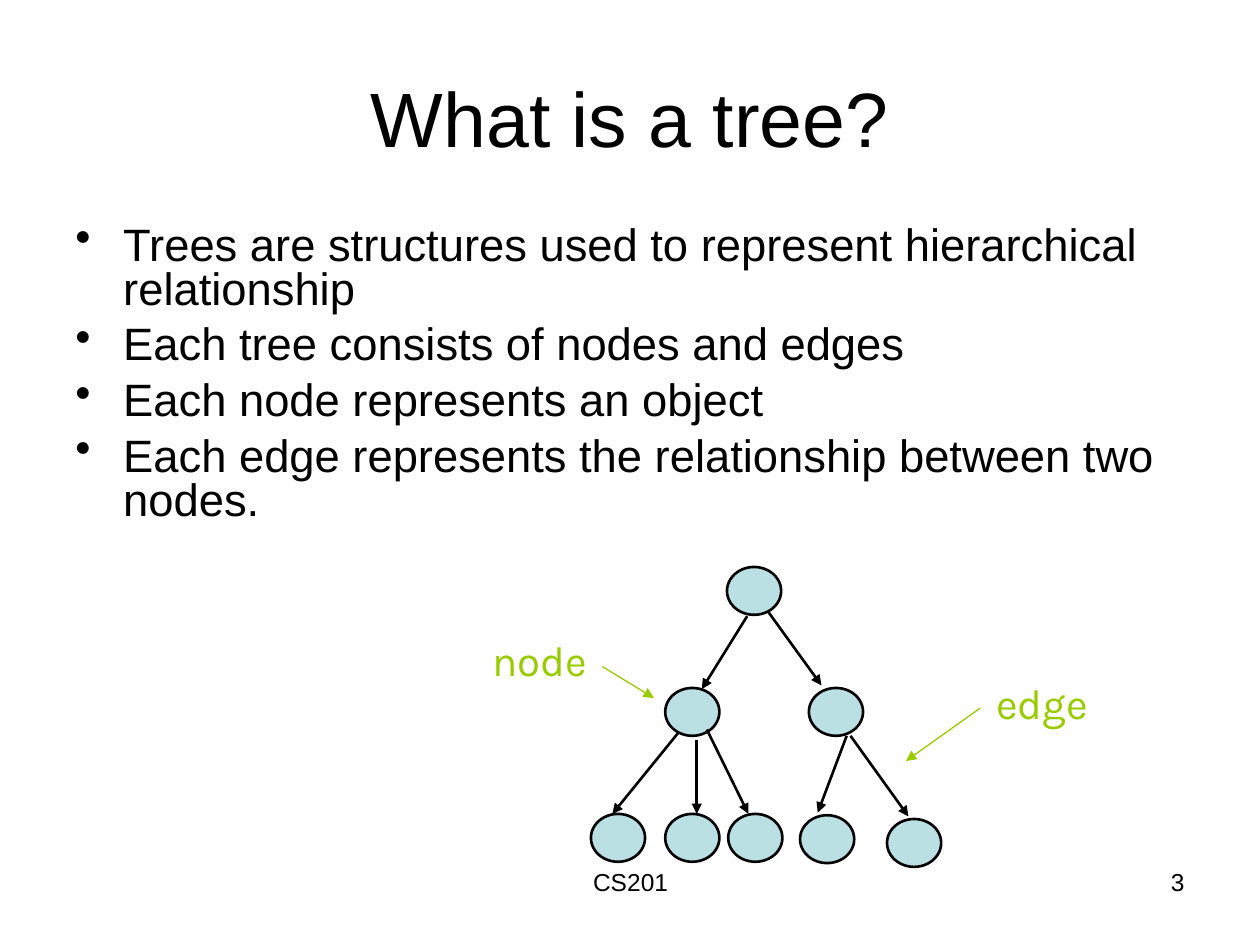
from dataclasses import dataclass

from lxml import etree
from pptx import Presentation
from pptx.dml.color import RGBColor
from pptx.enum.shapes import MSO_CONNECTOR, MSO_SHAPE
from pptx.enum.text import MSO_ANCHOR, PP_ALIGN
from pptx.oxml.ns import qn
from pptx.util import Inches, Pt

OVAL = MSO_SHAPE.OVAL
STRAIGHT = MSO_CONNECTOR.STRAIGHT
MIDDLE = MSO_ANCHOR.MIDDLE
LEFT, CENTER, RIGHT = PP_ALIGN.LEFT, PP_ALIGN.CENTER, PP_ALIGN.RIGHT


@dataclass(frozen=True)
class Theme:
    ink: RGBColor = RGBColor(0x00, 0x00, 0x00)
    fill: RGBColor = RGBColor(0xBB, 0xE0, 0xE3)
    note: RGBColor = RGBColor(0x99, 0xCC, 0x00)
    font: str = "Arial"
    hand: str = "Karla"
    title: float = 44
    body: float = 25.9
    label: float = 24
    foot: float = 14
    bold: float = 1.5
    thin: float = 0.75


THEME = Theme()
NODE_W, NODE_H = 0.43, 0.38

POINTS = [
    "Trees are structures used to represent hierarchical relationship",
    "Each tree consists of nodes and edges",
    "Each node represents an object",
    "Each edge represents the relationship between two nodes.",
]

# Top of each node row, with the left of each node
NODES = [
    (4.5, [5.77]),
    (5.46, [5.28, 6.42]),
    (6.46, [4.69, 5.28, 5.78]),
    (6.47, [6.35]),
    (6.5, [7.04]),
]

EDGES = [
    ((5.93, 4.89), (5.57, 5.47)),
    ((6.1, 4.86), (6.52, 5.44)),
    ((5.38, 5.82), (4.86, 6.46)),
    ((5.53, 5.87), (5.53, 6.46)),
    ((5.61, 5.79), (5.94, 6.46)),
    ((6.72, 5.84), (6.49, 6.45)),
    ((6.75, 5.84), (7.21, 6.48)),
]

HINTS = [
    ((7.78, 5.62), (7.19, 6.04)),
    ((4.78, 5.29), (5.19, 5.54)),
]


def add_run(para, text, size, color=THEME.ink, font=THEME.font):
    run = para.add_run()
    run.text = text
    run.font.size = Pt(size)
    run.font.name = font
    run.font.color.rgb = color


def add_title(slide, text):
    title = slide.shapes.title
    title.left, title.top = Inches(0.5), Inches(0.3)
    title.width, title.height = Inches(9), Inches(1.25)
    frame = title.text_frame
    frame.vertical_anchor = MIDDLE
    para = frame.paragraphs[0]
    para.alignment = CENTER
    add_run(para, text, THEME.title)


def add_box(slide, left, top, width, height, wrap=True):
    box = slide.shapes.add_textbox(
        Inches(left), Inches(top), Inches(width), Inches(height))
    box.text_frame.word_wrap = wrap
    return box.text_frame


def add_bullet(para):
    props = para._p.get_or_add_pPr()
    props.set("marL", str(Inches(0.38)))
    props.set("indent", str(-Inches(0.38)))
    etree.SubElement(props, qn("a:buChar")).set("char", "•")


def add_list(slide, items):
    frame = add_box(slide, 0.5, 1.75, 9, 2.52)
    for i, item in enumerate(items):
        para = frame.add_paragraph() if i else frame.paragraphs[0]
        add_bullet(para)
        para.line_spacing = 0.8
        para.space_before = Pt(7 if i else 0)
        add_run(para, item, THEME.body)


def add_label(slide, text, left, top, width):
    frame = add_box(slide, left, top, width, 0.5, wrap=False)
    para = frame.paragraphs[0]
    para.alignment = LEFT
    add_run(para, text, THEME.label, THEME.note, THEME.hand)


def add_foot(slide, text, left, width, align):
    para = add_box(slide, left, 6.83, width, 0.52).paragraphs[0]
    para.alignment = align
    add_run(para, text, THEME.foot)


def add_node(slide, left, top):
    node = slide.shapes.add_shape(
        OVAL, Inches(left), Inches(top), Inches(NODE_W), Inches(NODE_H))
    node.shadow.inherit = False
    node.fill.solid()
    node.fill.fore_color.rgb = THEME.fill
    node.line.color.rgb = THEME.ink
    node.line.width = Pt(THEME.bold)


def add_arrow(slide, start, end, color, width):
    ends = [Inches(n) for n in (*start, *end)]
    arrow = slide.shapes.add_connector(STRAIGHT, *ends)
    arrow.line.color.rgb = color
    arrow.line.width = Pt(width)
    tip = etree.SubElement(arrow.line._get_or_add_ln(), qn("a:tailEnd"))
    tip.set("type", "triangle")
    etree.SubElement(arrow._element.spPr, qn("a:effectLst"))


def add_tree(slide):
    for top, lefts in NODES:
        for left in lefts:
            add_node(slide, left, top)
    for start, end in EDGES:
        add_arrow(slide, start, end, THEME.ink, THEME.bold)


def main():
    deck = Presentation()
    deck.slide_width, deck.slide_height = Inches(10), Inches(7.5)
    slide = deck.slides.add_slide(deck.slide_layouts.get_by_name("Title Only"))
    add_title(slide, "What is a tree?")
    add_list(slide, POINTS)
    add_tree(slide)
    for start, end in HINTS:
        add_arrow(slide, start, end, THEME.note, THEME.thin)
    add_label(slide, "edge", 7.81, 5.33, 0.98)
    add_label(slide, "node", 3.81, 4.99, 1)
    add_foot(slide, "CS201", 3.42, 3.17, CENTER)
    add_foot(slide, "3", 7.17, 2.33, RIGHT)
    deck.save("out.pptx")


if __name__ == "__main__":
    main()
